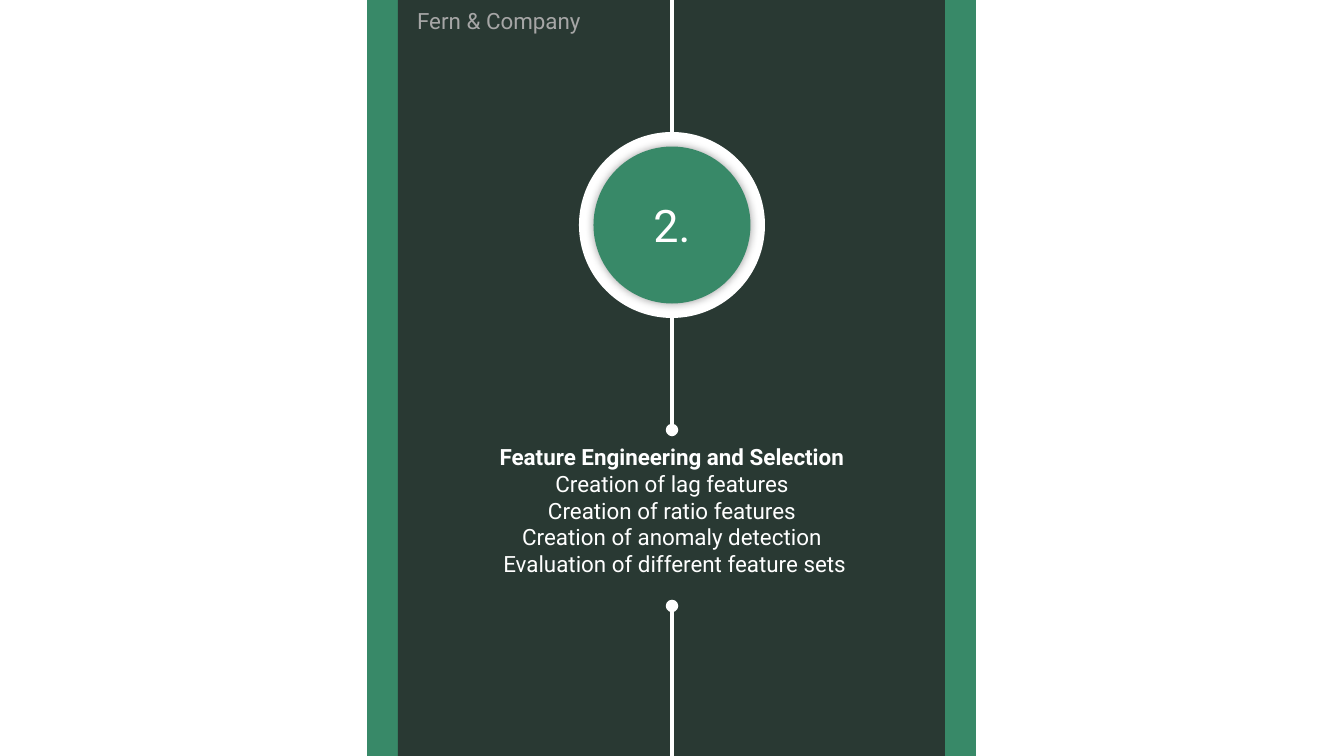
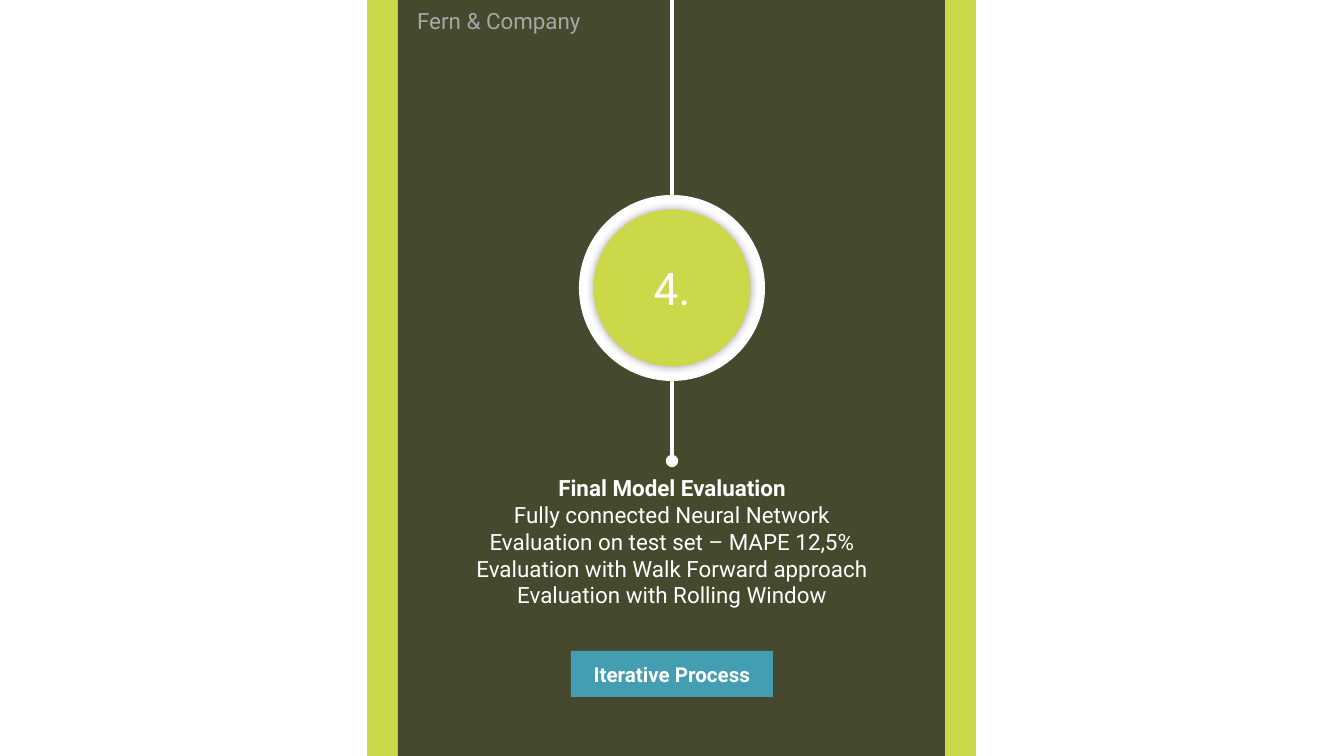
from lxml.etree import SubElement
from pptx import Presentation
from pptx.dml.color import RGBColor
from pptx.enum.shapes import MSO_CONNECTOR, MSO_SHAPE
from pptx.enum.text import MSO_ANCHOR, MSO_AUTO_SIZE, PP_ALIGN
from pptx.oxml.ns import qn
from pptx.util import Emu, Pt

SLIDE_W, SLIDE_H = 1344, 756
PANEL = (367, 0, 609, SLIDE_H)
BORDER = 31
CENTRE_X = 672
RING, DISC = 186, 157
STEP_W, STEP_H = 515, 163
FONT = "Roboto"
WHITE, DARK, GREY = "FFFFFF", "262626", "A6A6A6"
GREEN, LIME, TEAL = "388968", "CAD849", "429EB0"
COMPANY = "Fern & Company"


def px(length):
    return Emu(round(length * 914400 / 134.4))


def paint(fill, color, opacity=100):
    fill.solid()
    fill.fore_color.rgb = RGBColor.from_string(color)
    if opacity < 100:
        srgb = fill._xPr.find(qn("a:solidFill")).find(qn("a:srgbClr"))
        SubElement(srgb, qn("a:alpha"), val=str(opacity * 1000))


def write(shape, lines, size=12, color=WHITE, bold_first=False, anchor=MSO_ANCHOR.TOP,
          insets=(13, 7, 13, 7), before=0, grow=False):
    frame = shape.text_frame
    frame.word_wrap = True
    frame.vertical_anchor = anchor
    frame.auto_size = MSO_AUTO_SIZE.SHAPE_TO_FIT_TEXT if grow else MSO_AUTO_SIZE.NONE
    frame.margin_left, frame.margin_top, frame.margin_right, frame.margin_bottom = map(px, insets)
    for index, line in enumerate(lines):
        paragraph = frame.add_paragraph() if index else frame.paragraphs[0]
        paragraph.alignment = PP_ALIGN.CENTER
        paragraph.space_before = Pt(before)
        run = paragraph.add_run()
        run.text = line
        run.font.name = FONT
        run.font.size = Pt(size)
        run.font.bold = bold_first and index == 0
        run.font.color.rgb = RGBColor.from_string(color)


def add_block(slide, kind, box, color, opacity=100):
    block = slide.shapes.add_shape(kind, *map(px, box))
    block.shadow.inherit = False
    paint(block.fill, color, opacity)
    block.line.fill.background()
    return block


def add_text(slide, box, lines, **style):
    write(slide.shapes.add_textbox(*map(px, box)), lines, **style)


def add_track(slide, top, bottom, dot=None):
    """Vertical line; dot is "headEnd" (top), "tailEnd" (bottom) or None."""
    track = slide.shapes.add_connector(
        MSO_CONNECTOR.STRAIGHT, px(CENTRE_X), px(top), px(CENTRE_X), px(bottom))
    paint(track.line.fill, WHITE)
    track.line.width = Pt(2.25)
    if dot:
        SubElement(track.line._get_or_add_ln(), qn(f"a:{dot}"), type="oval")
    SubElement(track._element.spPr, qn("a:effectLst"))


def add_glow(shape):
    effects = shape._element.spPr.find(qn("a:effectLst"))
    shadow = SubElement(effects, qn("a:outerShdw"), blurRad=str(Pt(5)), dist="0",
                        dir="0", algn="ctr", rotWithShape="0")
    SubElement(SubElement(shadow, qn("a:srgbClr"), val="000000"), qn("a:alpha"), val="40000")


def add_panel(slide, box, accent):
    left, top, width, height = box
    add_block(slide, MSO_SHAPE.RECTANGLE, box, accent)
    add_block(slide, MSO_SHAPE.RECTANGLE,
              (left + BORDER, top, width - 2 * BORDER, height), DARK, opacity=80)


def add_badge(slide, centre_y, number, accent):
    def circle(size, color):
        box = (CENTRE_X - size / 2, centre_y - size / 2, size, size)
        return add_block(slide, MSO_SHAPE.OVAL, box, color)

    circle(RING, WHITE)
    disc = circle(DISC, accent)
    add_glow(disc)
    write(disc, [number], size=24, anchor=MSO_ANCHOR.MIDDLE, insets=(0, 7, 0, 7))


def add_company(slide, box):
    left, top = box[:2]
    add_text(slide, (left + BORDER, top, 202, 51), [COMPANY], color=GREY, before=2.4)


def add_step(prs, number, accent, badge_y, text_y, lines):
    slide = prs.slides.add_slide(prs.slide_layouts[6])
    add_panel(slide, PANEL, accent)
    # Timeline above and below the badge
    add_track(slide, 0, badge_y - RING / 2 + 10)
    add_track(slide, badge_y + RING / 2 - 10, text_y, dot="tailEnd")
    add_badge(slide, badge_y, number, accent)
    # Heading and tasks of the step
    add_text(slide, (CENTRE_X - STEP_W / 2, text_y, STEP_W, STEP_H), lines,
             bold_first=True, insets=(13, 13, 13, 13), grow=True)
    add_company(slide, PANEL)
    return slide


def main():
    prs = Presentation()
    prs.slide_width, prs.slide_height = px(SLIDE_W), px(SLIDE_H)

    features = add_step(prs, "2.", GREEN, 225, 430, [
        "Feature Engineering and Selection",
        "Creation of lag features",
        "Creation of ratio features",
        "Creation of anomaly detection",
        " Evaluation of different feature sets",
    ])
    # Timeline carries on to the next step
    add_track(features, 606, SLIDE_H, dot="headEnd")

    evaluation = add_step(prs, "4.", LIME, 288, 461, [
        "Final Model Evaluation",
        "Fully connected Neural Network",
        "Evaluation on test set – MAPE 12,5%",
        "Evaluation with Walk Forward approach",
        "Evaluation with Rolling Window",
    ])
    # Closing label
    process = add_block(evaluation, MSO_SHAPE.RECTANGLE, (CENTRE_X - 101, 651, 202, 46), TEAL)
    write(process, ["Iterative Process"], size=11, bold_first=True, anchor=MSO_ANCHOR.MIDDLE)

    prs.save("out.pptx")


if __name__ == "__main__":
    main()
